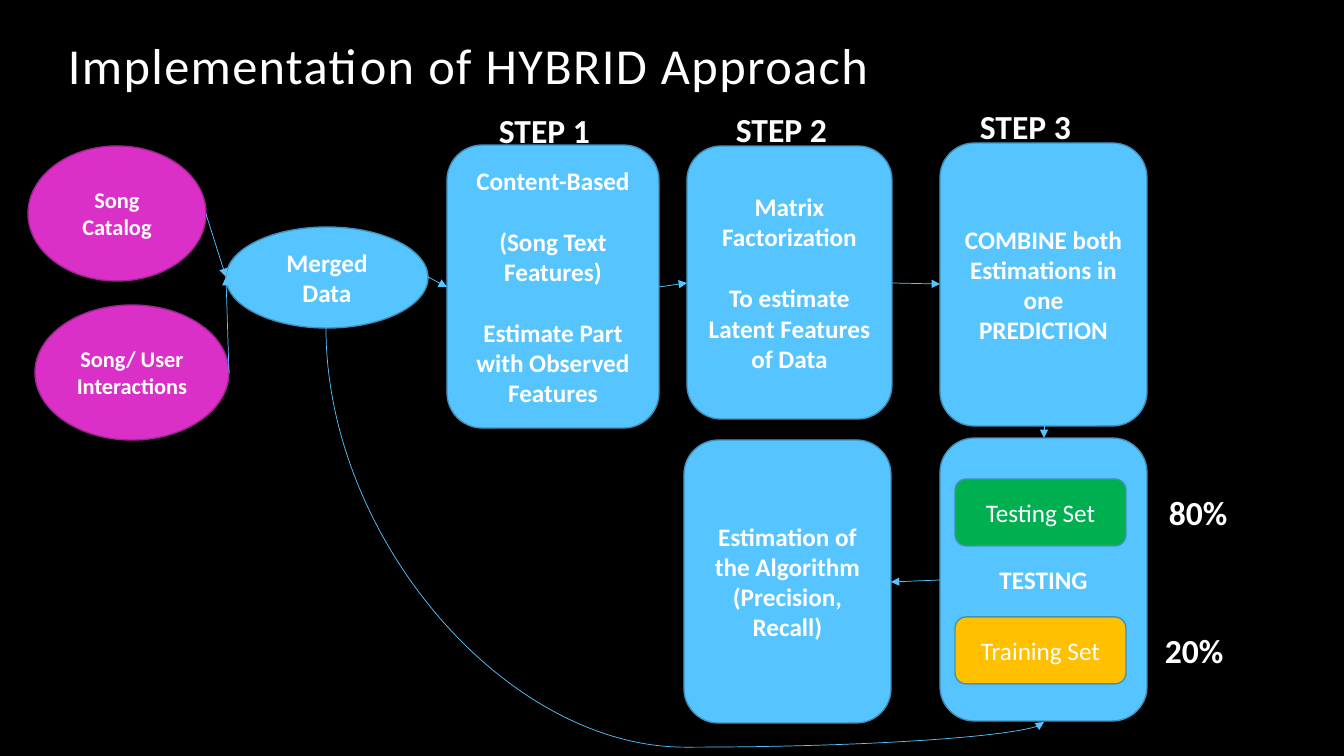
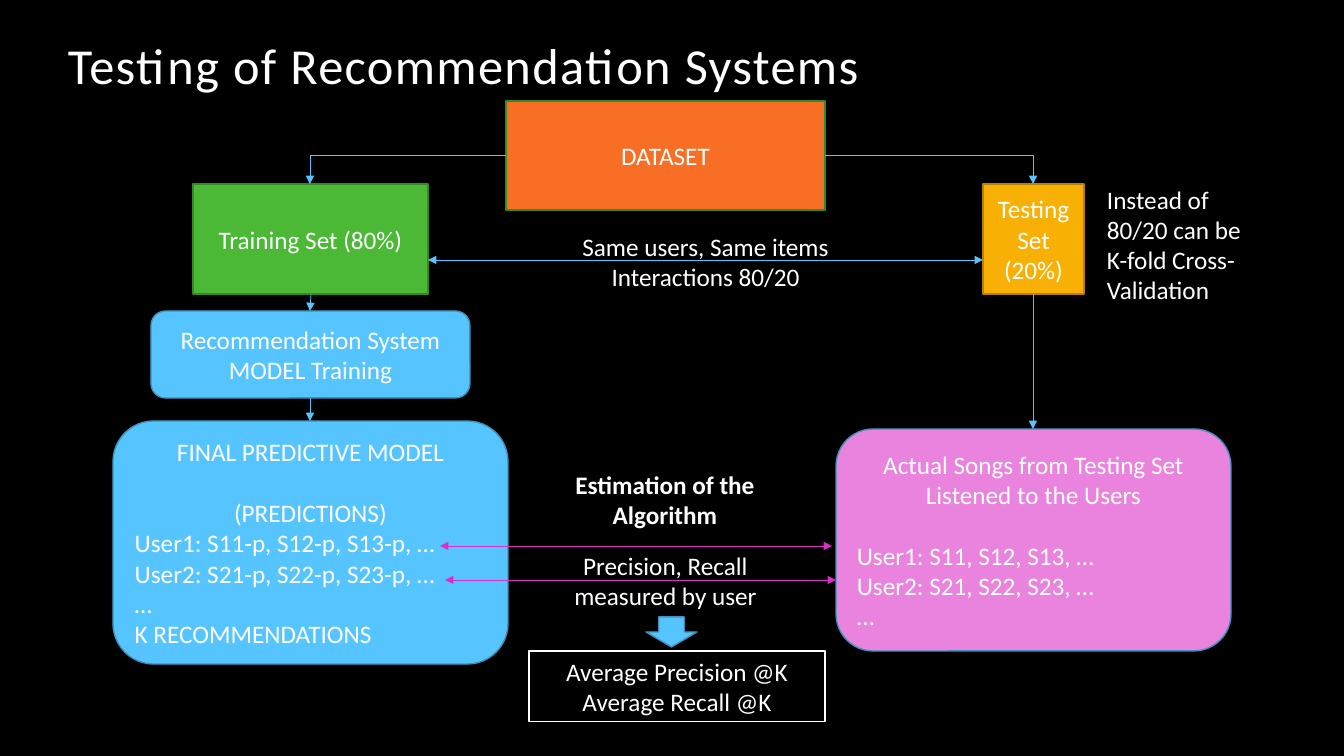
from lxml import etree
from pptx import Presentation
from pptx import util as u
from pptx.dml.color import RGBColor
from pptx.enum import shapes, text
from pptx.oxml.ns import qn

PX = 914400 / 100.8  # EMU per px
FONT = "Calibri"
WHITE, BLACK, BLUE, PINK, LILAC = "FFFFFF", "000000", "56C5FF", "DB30C7", "E983DD"
LEAF, AMBER, ORANGE, GREEN, YELLOW = "4BB836", "F8B004", "F86E24", "00B050", "FFC000"
OUTLINE = {PINK: "A22493", LEAF: "378828", ORANGE: "378828", AMBER: "B78203"}
BLUE_OUTLINE = "4092BD"
LINE_GAP = u.Pt(22)  # one empty line of 18 pt text

S, C = shapes.MSO_SHAPE, shapes.MSO_CONNECTOR
LEFT, CENTER = text.PP_ALIGN.LEFT, text.PP_ALIGN.CENTER
CARD = S.FLOWCHART_ALTERNATE_PROCESS

prs = Presentation()
prs.slide_width, prs.slide_height = u.Inches(13.333), u.Inches(7.5)
bg = prs.slide_master.background.fill
bg.solid()
bg.fore_color.rgb = RGBColor.from_string(BLACK)


def box(s, kind, rect, paras=(), fill=None, size=18, bold=False,
        align=CENTER, gaps=(), left_from=99):
    """Shape or, without a kind, text box; gaps lists paragraphs set apart."""
    rect = [u.Emu(round(v * PX)) for v in rect]
    if kind is None:
        sp = s.shapes.add_textbox(*rect)
    else:
        sp = s.shapes.add_shape(kind, *rect)
        sp.shadow.inherit = False
        if fill:
            sp.fill.solid()
            sp.fill.fore_color.rgb = RGBColor.from_string(fill)
        else:
            sp.fill.background()
        edge = OUTLINE.get(fill, BLUE_OUTLINE) if fill else WHITE
        sp.line.color.rgb = RGBColor.from_string(edge)
        sp.line.width = u.Pt(1 if fill else 0.75)
    tf = sp.text_frame
    tf.word_wrap = True
    tf.vertical_anchor = text.MSO_ANCHOR.MIDDLE if kind else text.MSO_ANCHOR.TOP
    for i, words in enumerate(paras):
        p = tf.add_paragraph() if i else tf.paragraphs[0]
        p.alignment = LEFT if i >= left_from else align
        if i in gaps:
            p.space_before = LINE_GAP
        r = p.add_run()
        r.text = words
        r.font.name, r.font.size, r.font.bold = FONT, u.Pt(size), bold
        r.font.color.rgb = RGBColor.from_string(WHITE)
    return sp


def arrow(s, ends, color=BLUE, kind=C.STRAIGHT, both=False):
    cx = s.shapes.add_connector(kind, *[u.Emu(round(v * PX)) for v in ends])
    cx.line.color.rgb = RGBColor.from_string(color)
    cx.line.width = u.Pt(0.5)
    ln = cx.line._get_or_add_ln()
    for tag in ("a:headEnd", "a:tailEnd") if both else ("a:tailEnd",):
        etree.SubElement(ln, qn(tag), type="triangle")
    etree.SubElement(cx._element.spPr, qn("a:effectLst"))
    return cx


# Slides with their titles
slides = []
for title in ("Implementation of HYBRID Approach", "Testing of Recommendation Systems"):
    s = prs.slides.add_slide(prs.slide_layouts[6])
    tf = box(s, None, (58, 33, 1050, 67), [title], size=36, align=LEFT).text_frame
    tf.vertical_anchor = text.MSO_ANCHOR.BOTTOM
    p = tf.paragraphs[0]
    p.line_spacing = 0.9
    p.runs[0].font._element.set("spc", "100")
    slides.append(s)
hybrid, testing = slides

# Hybrid: data sources
box(hybrid, S.OVAL, (35, 305, 194, 135), ["Song/ User Interactions"], PINK, 16, True)
box(hybrid, S.OVAL, (28, 146, 178, 135), ["Song Catalog"], PINK, 16, True)
box(hybrid, S.FLOWCHART_CONNECTOR, (226, 227, 202, 101), ["Merged Data"], BLUE, bold=True)

# Hybrid: step cards
for rect, paras, gaps in (
    ((447, 145, 212, 283), ["Content-Based", "(Song Text Features)",
                            "Estimate Part with Observed Features"], (1, 2)),
    ((687, 146, 205, 273), ["Matrix Factorization",
                            "To estimate Latent Features of Data"], (1,)),
    ((940, 143, 207, 283), ["COMBINE both Estimations in one PREDICTION"], ()),
    ((940, 438, 207, 283), ["TESTING"], ()),
    ((684, 440, 207, 283), ["Estimation of the Algorithm", "(Precision, Recall)"], ()),
):
    box(hybrid, CARD, rect, paras, BLUE, bold=True, gaps=gaps)

# Hybrid: sets inside the testing card
for y, name, fill in ((479, "Testing Set", GREEN), (617, "Training Set", YELLOW)):
    box(hybrid, S.ROUNDED_RECTANGLE, (955, y, 171, 67), [name], fill)

# Hybrid: step labels and shares
for x, y, w, label in (
    (489, 105, 138, "STEP 1"), (726, 104, 138, "STEP 2"), (970, 101, 138, "STEP 3"),
    (1159, 487, 94, "80%"), (1155, 625, 94, "20%"),
):
    box(hybrid, None, (x, y, w, 50), [label], size=24, bold=True, align=LEFT)

# Hybrid: flow
for ends in (
    (206, 214, 226, 277), (229, 373, 226, 277), (428, 277, 447, 287),
    (659, 287, 687, 283), (892, 283, 940, 284), (1044, 426, 1044, 438),
    (940, 580, 891, 582),
):
    arrow(hybrid, ends)

# Hybrid: curve from the merged data under the cards, a quarter turn of its frame
curve = arrow(hybrid, (882, 166, 488, 884), kind=C.CURVE)
curve._element.spPr.find(qn("a:xfrm")).set("rot", "16200000")
av = curve._element.spPr.find(qn("a:prstGeom")).find(qn("a:avLst"))
etree.SubElement(av, qn("a:gd"), name="adj1", fmla="val 106400")

# Testing: data sets, models and results
for kind, rect, paras, fill, gaps, left_from in (
    (S.RECTANGLE, (193, 184, 235, 110), ["Training Set (80%)"], LEAF, (), 99),
    (S.RECTANGLE, (983, 184, 101, 110), ["Testing Set (20%)"], AMBER, (), 99),
    (S.RECTANGLE, (506, 101, 319, 109), ["DATASET"], ORANGE, (), 99),
    (S.ROUNDED_RECTANGLE, (151, 311, 319, 87),
     ["Recommendation System MODEL Training"], BLUE, (), 99),
    (S.ROUNDED_RECTANGLE, (113, 421, 395, 243),
     ["FINAL PREDICTIVE MODEL", "(PREDICTIONS)", "User1: S11-p, S12-p, S13-p, …",
      "User2: S21-p, S22-p, S23-p, …", "…", "K RECOMMENDATIONS"], BLUE, (1,), 2),
    (S.ROUNDED_RECTANGLE, (836, 429, 395, 222),
     ["Actual Songs from Testing Set Listened to the Users", "User1: S11, S12, S13, …",
      "User2: S21, S22, S23, …", "…"], LILAC, (1,), 1),
    (S.RECTANGLE, (529, 651, 296, 71),
     ["Average Precision @K", "Average Recall @K"], None, (), 99),
    (S.DOWN_ARROW, (646, 617, 51, 30), [], BLUE, (), 99),
):
    box(testing, kind, rect, paras, fill, gaps=gaps, left_from=left_from)

# Testing: notes
for rect, paras, bold, align in (
    ((563, 226, 285, 102), ["Same users, Same items", "Interactions 80/20"], False, CENTER),
    ((1097, 179, 161, 132),
     ["Instead of 80/20 can be K-fold Cross-Validation"], False, LEFT),
    ((541, 545, 249, 102), ["Precision, Recall measured by user"], False, CENTER),
    ((543, 464, 244, 71), ["Estimation of the Algorithm"], True, CENTER),
):
    box(testing, None, rect, paras, bold=bold, align=align)

# Testing: split of the data set
for ends in ((506, 155, 310, 184), (825, 155, 1033, 184)):
    elbow = arrow(testing, ends, kind=C.ELBOW)
    elbow._element.spPr.find(qn("a:prstGeom")).set("prst", "bentConnector2")

# Testing: flow and comparisons
for ends in ((311, 294, 310, 311), (310, 398, 310, 421), (1033, 294, 1033, 429)):
    arrow(testing, ends)
for ends, color in (
    ((428, 260, 983, 260), BLUE), ((440, 546, 832, 546), PINK), ((445, 580, 836, 580), PINK),
):
    arrow(testing, ends, color, both=True)

prs.save("out.pptx")
